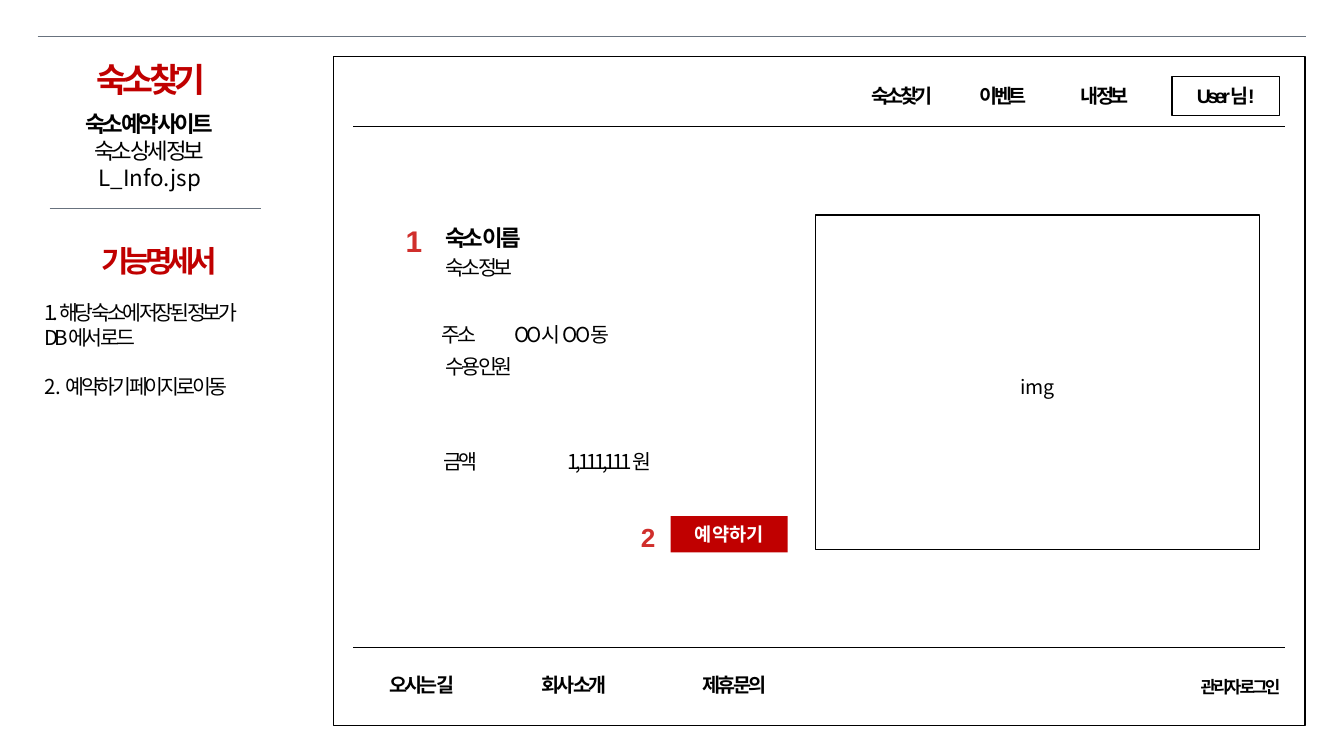
"""Build the wireframe slide of a lodging detail page."""
from dataclasses import dataclass

from lxml import etree
from pptx import Presentation
from pptx import util as u
from pptx.dml.color import RGBColor
from pptx.enum import shapes, text
from pptx.oxml.ns import qn

HUES = {"ink": "000000", "red": "C00000", "mark": "D02F2C",
        "rule": "68727E", "white": "FFFFFF"}
NOTO, ARIAL = "Noto Sans CJK KR", "Arial"
MID, TOP = text.MSO_ANCHOR.MIDDLE, text.MSO_ANCHOR.TOP
MEET, LEFT = text.PP_ALIGN.CENTER, text.PP_ALIGN.LEFT


@dataclass
class Run:
    words: str
    size: float = 11
    gap: float = -1.8
    bold: bool = False
    font: str = NOTO
    hue: str = "ink"


@dataclass
class Box:
    left: float
    top: float
    wide: float
    high: float

    def spots(self) -> list:
        return [u.Pt(v) for v in (self.left, self.top, self.wide, self.high)]


@dataclass
class Label:
    box: Box
    lines: list[list[Run]]
    align: int = MEET
    hold: int = MID
    wrap: bool = True
    lead: float = 1.0
    space: float = 0


def tint(hue: str) -> RGBColor:
    return RGBColor.from_string(HUES[hue])


def add_run(para, run: Run) -> None:
    item = para.add_run()
    item.text = run.words
    font = item.font
    font.size, font.bold, font.name = u.Pt(run.size), run.bold, run.font
    font.color.rgb = tint(run.hue)
    props = item._r.get_or_add_rPr()
    props.set("spc", str(round(run.gap * 100)))
    east = etree.Element(qn("a:ea"), typeface=NOTO)
    props.find(qn("a:latin")).addnext(east)


def fill_text(shape, label: Label) -> None:
    frame = shape.text_frame
    frame.word_wrap, frame.vertical_anchor = label.wrap, label.hold
    frame.auto_size = text.MSO_AUTO_SIZE.SHAPE_TO_FIT_TEXT
    for rank, line in enumerate(label.lines):
        para = frame.add_paragraph() if rank else frame.paragraphs[0]
        para.alignment, para.line_spacing = label.align, label.lead
        para.space_before = u.Pt(label.space if rank else 0)
        for run in line:
            add_run(para, run)
    shape.left, shape.top, shape.width, shape.height = label.box.spots()


def add_label(slide, label: Label) -> None:
    fill_text(slide.shapes.add_textbox(*label.box.spots()), label)


def add_rect(slide, box: Box, fill: str = "", run: Run | None = None) -> None:
    rect = slide.shapes.add_shape(shapes.MSO_SHAPE.RECTANGLE, *box.spots())
    rect.shadow.inherit = False
    if fill:
        rect.fill.solid()
        rect.fill.fore_color.rgb = tint(fill)
        rect.line.fill.background()
    else:
        rect.fill.background()
        rect.line.color.rgb = tint("ink")
        rect.line.width = u.Pt(0.75)
    if run:
        fill_text(rect, Label(box, [[run]]))


def add_rule(slide, start: float, end: float, top: float,
             hue: str = "ink", width: float = 0.75) -> None:
    rule = slide.shapes.add_connector(
        shapes.MSO_CONNECTOR.STRAIGHT, *map(u.Pt, (start, top, end, top)))
    rule.line.color.rgb, rule.line.width = tint(hue), u.Pt(width)
    etree.SubElement(rule._element.spPr, qn("a:effectLst"))


def add_side(slide) -> None:
    head = Run("숙소 찾기", 18, -3, True, hue="red")
    fill_text(slide.shapes.title, Label(
        Box(32.4, 30.24, 97.2, 26.64), [[head]], hold=TOP, lead=0.9))
    add_rule(slide, 20.16, 699.84, 19.6, "rule", 0.25)
    add_rule(slide, 26.64, 139.68, 111.6, "rule", 0.25)
    add_label(slide, Label(Box(24.48, 55.44, 110.88, 36),
                           [[Run("숙소 예약 사이트", 12, bold=True)],
                            [Run("숙소 상세 정보", 12)]]))
    add_label(slide, Label(Box(29.52, 84.24, 101.52, 21.6),
                           [[Run("L_Info.jsp", 12, 0)]]))
    add_label(slide, Label(Box(36.72, 128.88, 97.2, 24.48),
                           [[Run("기능명세서", 16, -3, True, hue="red")]],
                           hold=TOP, lead=0.9))
    add_label(slide, Label(Box(16.56, 156.96, 129.6, 60.48),
                           [[Run("1. 해당 숙소에 저장된 정보가 DB에서 로드")],
                            [Run("2. ", gap=0), Run("예약하기 페이지로 이동")]],
                           LEFT, space=13.2))


def add_body(slide) -> None:
    add_rect(slide, Box(437.04, 115.2, 237.6, 179.28))
    add_label(slide, Label(Box(527.04, 196.56, 57.6, 20.88),
                           [[Run("img", 10.5, 0)]]))
    add_label(slide, Label(Box(218.88, 116.64, 79.92, 21.6),
                           [[Run("숙소 이름", 12, -1.5, True)]]))
    for words, left, top in (("숙소 정보", 218.88, 132.48),
                             ("주소", 208.08, 168.48),
                             ("수용 인원", 218.88, 185.76),
                             ("금액", 208.8, 236.88),
                             ("1,111,111원", 288.72, 236.88)):
        add_label(slide, Label(Box(left, top, 75.6, 20.88), [[Run(words)]]))
    add_label(slide, Label(Box(254.16, 168.48, 93.6, 20.88),
                           [[Run("OO시 OO동", gap=-1.5)]]))
    add_rect(slide, Box(359.28, 276.48, 62.64, 19.44), "red",
             Run("예약하기", 10, 0, True, hue="white"))
    for words, size, left, top in (("1", 16, 210.24, 115.92),
                                   ("2", 14, 336.24, 275.76)):
        add_label(slide, Label(Box(left, top, 23.4, 25.2),
                               [[Run(words, size, 0, True, ARIAL, "mark")]],
                               LEFT, TOP, False))


def add_frame(slide) -> None:
    add_rect(slide, Box(178.56, 30.24, 520.56, 358.56))
    for top in (67.68, 347.04):
        add_rule(slide, 189.36, 688.32, top)
    for rank, words in enumerate(("숙소찾기", "이벤트", "내 정보")):
        add_label(slide, Label(Box(454.32 + 54.3 * rank, 41.04, 57.6, 20.88),
                               [[Run(words, 10.5, -1.8, True, ARIAL)]]))
    add_rect(slide, Box(627.84, 41.04, 57.6, 20.88),
             run=Run("User님!", 10.5, -1.8, True, ARIAL))
    for words, size, left, top, wide in (
            ("오시는 길", 10.5, 191.52, 356.4, 69.12),
            ("회사 소개", 10.5, 272.88, 356.4, 69.12),
            ("제휴문의", 10.5, 354.24, 356.4, 78.48),
            ("관리자 로그인", 9, 630, 358.56, 69.12)):
        add_label(slide, Label(Box(left, top, wide, size + 10),
                               [[Run(words, size, -1.5, True, ARIAL)]]))


def main() -> None:
    deck = Presentation()
    deck.slide_width, deck.slide_height = u.Pt(720), u.Pt(405)
    slide = deck.slides.add_slide(deck.slide_layouts[5])
    add_side(slide)
    add_body(slide)
    add_frame(slide)
    deck.save("out.pptx")


if __name__ == "__main__":
    main()
